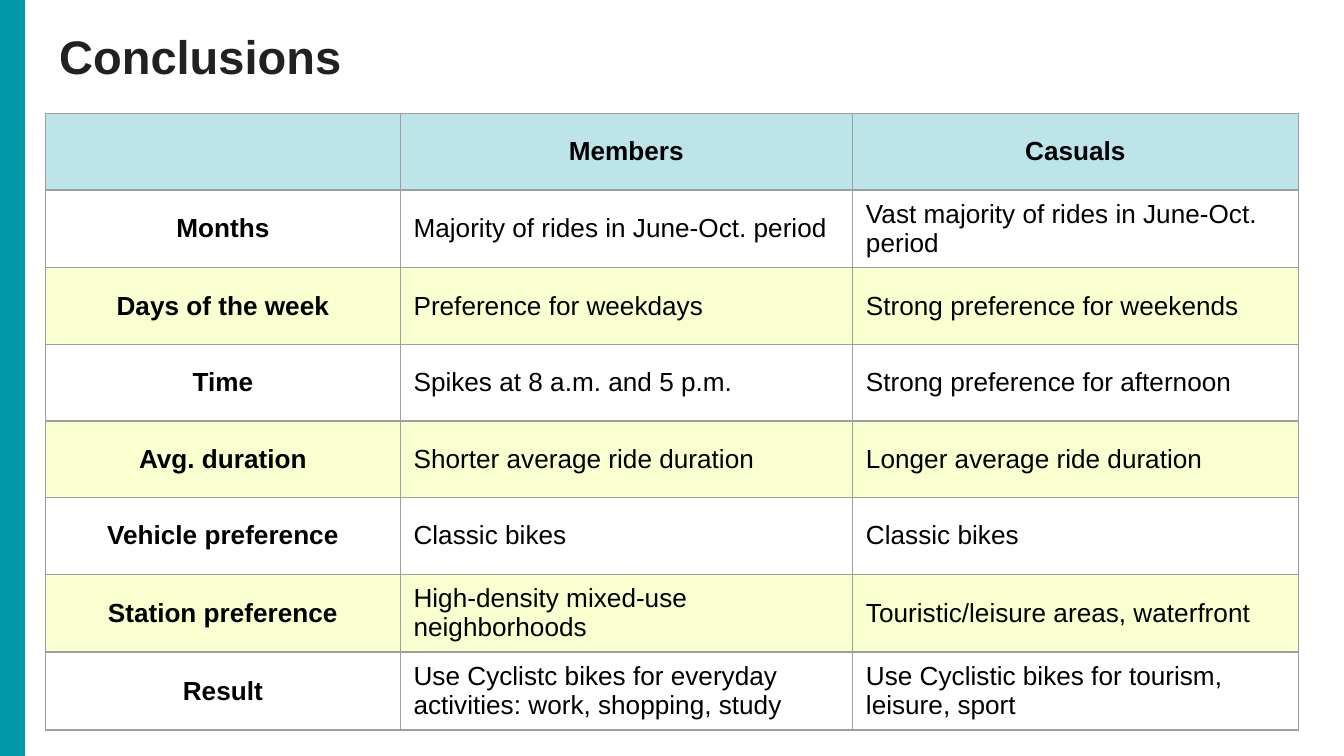
from lxml import etree
from pptx import Presentation
from pptx import util as u
from pptx.dml.color import RGBColor
from pptx.enum import shapes, text
from pptx.oxml import ns

TEAL = RGBColor(0x00, 0x97, 0xA7)
LIME = RGBColor(0xEE, 0xFF, 0x41)
GREY = RGBColor(0x9E, 0x9E, 0x9E)
INK = RGBColor(0x21, 0x21, 0x21)
BLACK = RGBColor(0x00, 0x00, 0x00)

WIDTH = u.Inches(10)
HEIGHT = WIDTH * 9 // 16
COLUMNS = (2.64, 3.37, 3.32)
ROW_HEIGHT, TWO_LINE_HEIGHT = 0.57, 0.58
TWO_LINE_ROWS = (1, 6, 7)

ROWS = (
    ("", "Members", "Casuals"),
    ("Months", "Majority of rides in June-Oct. period",
     "Vast majority of rides in June-Oct. period"),
    ("Days of the week", "Preference for weekdays", "Strong preference for weekends"),
    ("Time", "Spikes at 8 a.m. and 5 p.m.", "Strong preference for afternoon"),
    ("Avg. duration", "Shorter average ride duration", "Longer average ride duration"),
    ("Vehicle preference", "Classic bikes", "Classic bikes"),
    ("Station preference", "High-density mixed-use neighborhoods",
     "Touristic/leisure areas, waterfront"),
    ("Result", "Use Cyclistc bikes for everyday activities: work, shopping, study",
     "Use Cyclistic bikes for tourism, leisure, sport"),
)


def share(left, top, width, height):
    """Turn percentages of the slide's size into a box."""
    return tuple(round(part * size / 100) for part, size in
                 zip((left, top, width, height), (WIDTH, HEIGHT) * 2))


def apply(target, **values):
    for name, value in values.items():
        setattr(target, name, value)


def write(frame, words, color, align, **font):
    para = frame.paragraphs[0]
    para.alignment = align
    span = para.add_run()
    span.text = words
    apply(span.font, name="Arial", **font)
    span.font.color.rgb = color


def add_side_bar(page, box):
    bar = page.shapes.add_shape(shapes.MSO_SHAPE.RECTANGLE, *box)
    bar.shadow.inherit = False
    bar.fill.solid()
    bar.fill.fore_color.rgb = TEAL
    bar.line.fill.background()


def add_title(page, box, words):
    title = page.shapes.title
    apply(title, **dict(zip(("left", "top", "width", "height"), box)))
    inset = u.Inches(0.1)
    apply(title.text_frame, margin_left=inset, margin_right=inset, margin_top=inset,
          margin_bottom=inset, word_wrap=True, auto_size=text.MSO_AUTO_SIZE.NONE,
          vertical_anchor=text.MSO_ANCHOR.MIDDLE)
    write(title.text_frame, words, INK, text.PP_ALIGN.LEFT, size=u.Pt(25.2), bold=True)


def tint(cell, color, opacity):
    """Fill a cell with a see-through colour."""
    cell.fill.solid()
    cell.fill.fore_color.rgb = color
    swatch = cell._tc.tcPr.find(".//" + ns.qn("a:srgbClr"))
    etree.SubElement(swatch, ns.qn("a:alpha"), val=str(opacity * 1000))


def add_borders(cell):
    for index, side in enumerate(("lnL", "lnR", "lnT", "lnB")):
        line = etree.Element(ns.qn("a:" + side), w=str(u.Pt(0.75)))
        fill = etree.SubElement(line, ns.qn("a:solidFill"))
        etree.SubElement(fill, ns.qn("a:srgbClr"), val=str(GREY))
        cell._tc.get_or_add_tcPr().insert(index, line)


def add_comparison(page, box, rows):
    left, top, width, height = box
    table = page.shapes.add_table(len(rows), len(COLUMNS), left, top, width, height).table
    apply(table, first_row=False, horz_banding=False)
    for column, part in zip(table.columns, COLUMNS):
        column.width = round(width * part / sum(COLUMNS))
    heights = [TWO_LINE_HEIGHT if r in TWO_LINE_ROWS else ROW_HEIGHT
               for r in range(len(rows))]
    for row, part in zip(table.rows, heights):
        row.height = round(height * part / sum(heights))

    for r, words in enumerate(rows):
        for c, label in enumerate(words):
            cell = table.cell(r, c)
            cell.vertical_anchor = text.MSO_ANCHOR.MIDDLE
            # Header row is teal, every second body row lime
            if r == 0:
                tint(cell, TEAL, 26)
            elif r % 2 == 0:
                tint(cell, LIME, 25)
            else:
                cell.fill.background()
            add_borders(cell)
            heading = r == 0 or c == 0
            align = text.PP_ALIGN.CENTER if heading else text.PP_ALIGN.LEFT
            if label:
                write(cell.text_frame, label, BLACK, align, size=u.Pt(14), bold=heading)


def main():
    deck = Presentation()
    apply(deck, slide_width=WIDTH, slide_height=HEIGHT)
    page = deck.slides.add_slide(deck.slide_layouts[5])
    add_title(page, share(3.4, 1.8, 93.2, 11.2), "Conclusions")
    add_side_bar(page, share(0, 0, 1.87, 100))
    add_comparison(page, share(3.4, 15, 93.2, 81.6), ROWS)
    deck.save("out.pptx")


if __name__ == "__main__":
    main()
